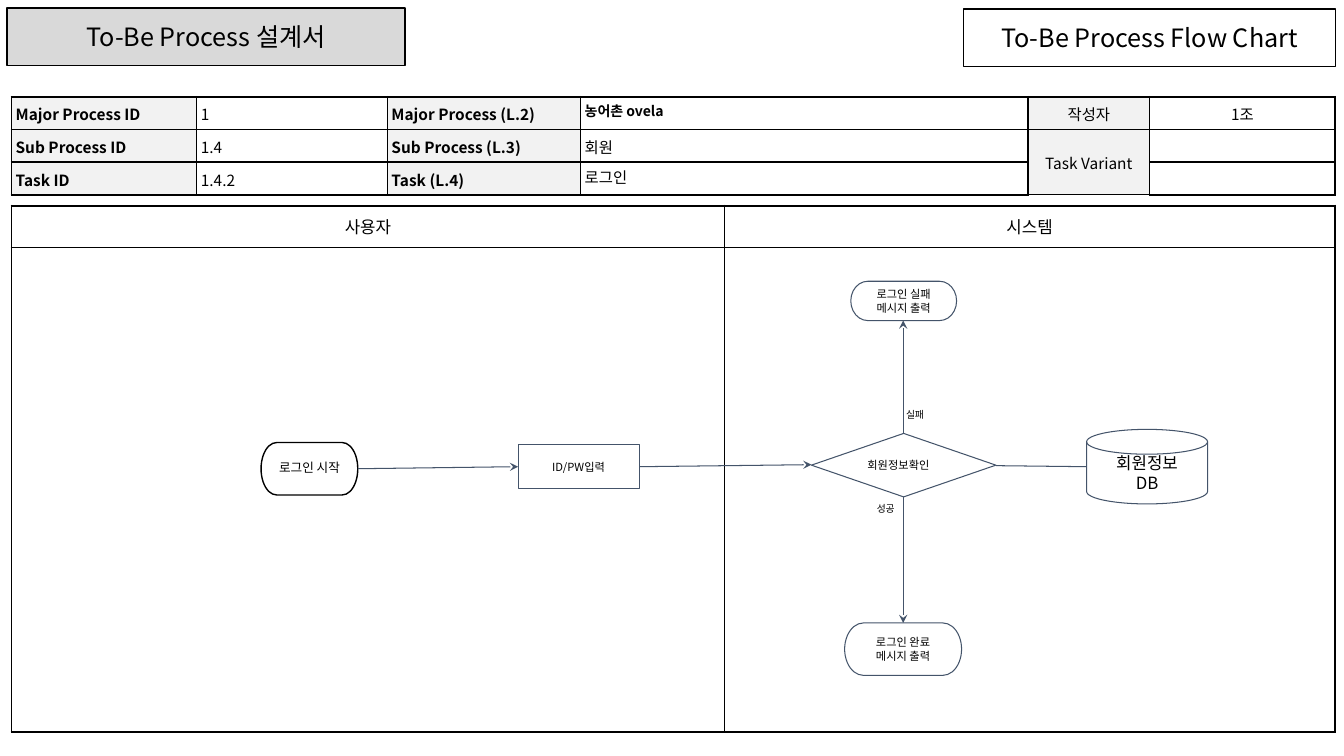
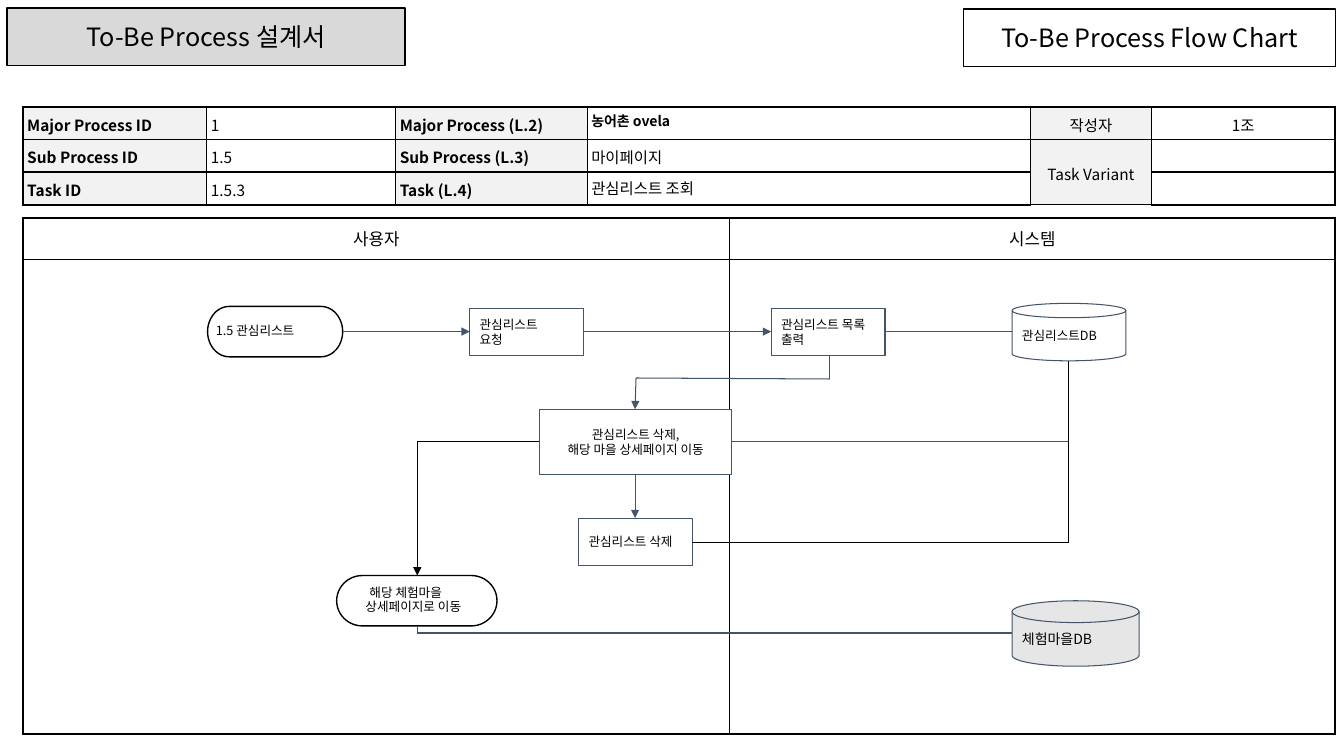
from itertools import pairwise
from lxml.etree import SubElement
from pptx import Presentation
from pptx.dml.color import RGBColor
from pptx.enum.shapes import MSO_CONNECTOR, MSO_SHAPE
from pptx.enum.text import MSO_ANCHOR, MSO_AUTO_SIZE, PP_ALIGN
from pptx.oxml import parse_xml
from pptx.oxml.ns import nsdecls, qn
from pptx.util import Inches, Pt

# Shared grid, colours and type
COLUMNS, ROWS = 133.33, 75
CELL = Inches(0.1)
FONT = "Noto Sans CJK KR"
BLACK, SLATE, WHITE = "000000", "44546A", "FFFFFF"
BANNER, LABEL, GREY = "D9D9D9", "F2F2F2", "E7E6E6"
LEFT, CENTER = PP_ALIGN.LEFT, PP_ALIGN.CENTER
RIGHT_EDGE = 132.45
INFO_SHARES = (14, 14.4, 14.6, 33.8, 9.2, 14)
LANE_SHARES = (7, 6)

PILL = MSO_SHAPE.FLOWCHART_TERMINATOR
STEP = MSO_SHAPE.FLOWCHART_PROCESS
CHOICE = MSO_SHAPE.FLOWCHART_DECISION
DISK = MSO_SHAPE.FLOWCHART_MAGNETIC_DISK
CAN = MSO_SHAPE.CAN
BOX = MSO_SHAPE.RECTANGLE


def paint(fill, colour):
    """Fill an area, a line or a font; None leaves it empty."""
    if colour is None:
        fill.background()
    else:
        fill.solid()
        fill.fore_color.rgb = RGBColor.from_string(colour)


def write(frame, text, size, align=LEFT, bold=False, spacing=1.0, insets=(0.1, 0.05)):
    """Set the text of a frame and format every paragraph."""
    frame.text = text
    frame.word_wrap = True
    frame.margin_left = frame.margin_right = Inches(insets[0])
    frame.margin_top = frame.margin_bottom = Inches(insets[1])
    for para in frame.paragraphs:
        para.alignment = align
        para.line_spacing = spacing
        for span in para.runs:
            span.font.size = Pt(size)
            span.font.bold = bold
            span.font.name = FONT
            paint(span.font.fill, BLACK)
            SubElement(span.font._element, qn("a:ea"), typeface=FONT)
        if not para.runs:
            SubElement(para._p, qn("a:endParaRPr"), sz=str(size * 100))


# Nodes: kind, left, top, width, height, text, size, alignment, outline, fill
# Links: corner points, colour, weight, arrowhead
# Labels: left, top, width, height, text
pages = [
    {
        "left": 1.15, "info_top": 9.6, "lane_top": 20.4, "lane_height": 52.2,
        "ids": ("1", "1.4", "1.4.2"),
        "names": ("농어촌 ovela", "회원", "로그인"),
        "nodes": [
            (DISK, 107.8, 42.6, 12, 7.4, "회원정보\nDB", 12, CENTER, SLATE, WHITE),
            (PILL, 25.9, 43.9, 9.6, 5.2, "로그인 시작", 9, CENTER, BLACK, WHITE),
            (BOX, 51.4, 44.1, 12, 4.4, "ID/PW입력", 8, CENTER, SLATE, WHITE),
            (CHOICE, 80.5, 43, 18.3, 6.3, "회원정보확인", 8, LEFT, SLATE, WHITE),
            (PILL, 83.8, 61.8, 11.6, 5.2, "로그인 완료\n메시지 출력", 8, CENTER, SLATE, WHITE),
            (PILL, 84.4, 27.9, 10.5, 3.9, "로그인 실패\n메시지 출력", 8, CENTER, SLATE, WHITE),
        ],
        "links": [
            ([(35.5, 46.5), (51.4, 46.3)], SLATE, 0.75, "stealth"),
            ([(63.5, 46.3), (80.5, 46.1)], SLATE, 0.75, "stealth"),
            ([(89.6, 49.3), (89.6, 61.8)], SLATE, 0.75, "stealth"),
            ([(89.6, 43), (89.6, 31.8)], SLATE, 0.75, "stealth"),
            ([(98.8, 46.2), (107.8, 46.3)], SLATE, 0.75, None),
        ],
        "labels": [(86, 49.3, 4, 3.2, "성공"), (88.9, 40, 5.3, 3.2, "실패")],
    },
    {
        "left": 2.3, "info_top": 10.6, "lane_top": 21.6, "lane_height": 51.2,
        "ids": ("1", "1.5", "1.5.3"),
        "names": ("농어촌 ovela", "마이페이지", "관심리스트 조회"),
        "nodes": [
            (PILL, 20.6, 30.4, 13.4, 5, "1.5 관심리스트", 9, LEFT, BLACK, WHITE),
            (STEP, 46.6, 30.6, 11.3, 4.7, "관심리스트\n요청", 9, LEFT, SLATE, WHITE),
            (CAN, 100.4, 30.1, 11.3, 5.7, "관심리스트DB", 9, LEFT, SLATE, WHITE),
            (STEP, 53.5, 40.6, 19.1, 6.5, "관심리스트 삭제,\n해당 마을 상세페이지 이동",
             9, CENTER, SLATE, WHITE),
            (PILL, 33.4, 57.1, 15.9, 5, "해당 체험마을 상세페이지로 이동", 9, LEFT, BLACK, WHITE),
            (STEP, 76.5, 30.6, 11.3, 4.7, "관심리스트 목록 출력", 9, LEFT, SLATE, WHITE),
            (DISK, 100.4, 59.6, 12.6, 6.5, "체험마을DB", 10, LEFT, SLATE, GREY),
            (STEP, 57.4, 51.4, 11.3, 4.7, "관심리스트 삭제", 9, LEFT, SLATE, WHITE),
        ],
        "links": [
            ([(34, 32.9), (46.6, 32.9)], SLATE, 0.75, "triangle"),
            ([(57.9, 32.9), (76.5, 32.9)], SLATE, 0.75, "triangle"),
            ([(100.4, 32.9), (87.8, 32.9)], SLATE, 0.75, None),
            ([(63, 47.1), (63, 51.4)], SLATE, 0.75, "triangle"),
            ([(82.3, 35.2), (82.3, 37.6), (63.1, 37.5), (63, 40.6)], SLATE, 0.75, "triangle"),
            ([(72.6, 43.8), (106, 43.8), (106, 35.8)], SLATE, 0.75, None),
            ([(41.4, 62.1), (41.4, 62.8), (100.4, 62.8)], SLATE, 0.75, None),
            ([(53.5, 43.8), (41.4, 43.8), (41.4, 57.1)], BLACK, 0.5, "triangle"),
            ([(68.7, 53.8), (106, 53.8), (106, 35.8)], BLACK, 0.5, None),
        ],
        "labels": [],
    },
]

deck = Presentation()
deck.slide_width = int(COLUMNS * CELL)
deck.slide_height = ROWS * CELL
title_only = deck.slide_layouts[5]

for content in pages:
    page = deck.slides.add_slide(title_only)

    # Title banner and its counterpart on the right
    title = page.shapes.title
    title.left, title.top, title.width, title.height = (
        int(n * CELL) for n in (0.7, 0.8, 39.5, 5.7))
    chart_name = page.shapes.add_shape(
        BOX, *(int(n * CELL) for n in (95.6, 0.9, 36.9, 5.7)))
    chart_name.shadow.inherit = False
    for banner, text, fill in ((title, "To-Be Process 설계서", BANNER),
                               (chart_name, "To-Be Process Flow Chart", None)):
        write(banner.text_frame, text, 18, CENTER)
        banner.text_frame.auto_size = MSO_AUTO_SIZE.NONE
        banner.text_frame.vertical_anchor = MSO_ANCHOR.MIDDLE
        paint(banner.fill, fill)
        paint(banner.line.fill, BLACK)
        banner.line.width = Pt(1)

    # Swimlanes and process details
    ids, names = content["ids"], content["names"]
    info = [
        ("Major Process ID", ids[0], "Major Process (L.2)", names[0], "작성자", "1조"),
        ("Sub Process ID", ids[1], "Sub Process (L.3)", names[1], "Task Variant", ""),
        ("Task ID", ids[2], "Task (L.4)", names[2], "", ""),
    ]
    lanes = [("사용자", "시스템"), ("", "")]
    tables = [
        (lanes, content["lane_top"], LANE_SHARES, (4.1, content["lane_height"] - 4.1), 0.75),
        (info, content["info_top"], INFO_SHARES, (3.13,) * 3, 1),
    ]
    for texts, top, shares, heights, inner in tables:
        width = RIGHT_EDGE - content["left"]
        last_row, last_column = len(heights) - 1, len(shares) - 1
        table = page.shapes.add_table(
            len(heights), len(shares),
            *(int(n * CELL) for n in (content["left"], top, width, sum(heights)))).table
        table.first_row = table.horz_banding = False
        for column, share in zip(table.columns, shares):
            column.width = int(width * share / sum(shares) * CELL)
        for row, height in zip(table.rows, heights):
            row.height = int(height * CELL)
        if texts is info:
            table.cell(1, 4).merge(table.cell(2, 4))

        for r, row_texts in enumerate(texts):
            for c, text in enumerate(row_texts):
                cell = table.cell(r, c)
                centered = texts is lanes or c >= 4
                if texts is lanes:
                    write(cell.text_frame, text, 12, CENTER)
                    margins = (0.1, 0.05)
                else:
                    major_name = (r, c) == (0, 3)
                    write(cell.text_frame, text, 10 if major_name else 11,
                          CENTER if centered else LEFT,
                          bold=c in (0, 2) or major_name,
                          spacing=1.0 if c == 3 and r != 1 else 1.1)
                    margins = (0.04, 0.04)
                cell.margin_left = cell.margin_right = Inches(margins[0])
                cell.margin_top = cell.margin_bottom = Inches(margins[1])
                cell.vertical_anchor = MSO_ANCHOR.MIDDLE if centered else MSO_ANCHOR.TOP
                paint(cell.fill, LABEL if texts is info and c in (0, 2, 4) else None)

                # Heavier rule on the outer edge
                outer = (("L", c == 0), ("R", c == last_column),
                         ("T", r == 0), ("B", r == last_row))
                properties = cell._tc.get_or_add_tcPr()
                for place, (side, is_outer) in enumerate(outer):
                    weight = Pt(1.5 if is_outer else inner)
                    properties.insert(place, parse_xml(
                        f'<a:ln{side} {nsdecls("a")} w="{weight}"><a:solidFill>'
                        f'<a:srgbClr val="{BLACK}"/></a:solidFill></a:ln{side}>'))

    # Flow chart nodes; black pills mark where the flow starts or ends
    for kind, left, top, width, height, text, size, align, outline, fill in content["nodes"]:
        node = page.shapes.add_shape(
            kind, *(int(n * CELL) for n in (left, top, width, height)))
        node.shadow.inherit = False
        paint(node.fill, fill)
        paint(node.line.fill, outline)
        terminal = outline == BLACK
        node.line.width = Pt(1 if terminal else 0.75)
        write(node.text_frame, text, size, align,
              spacing=0.9 if terminal else 1.0,
              insets=(0.02, 0) if terminal else (0.1, 0.1))
        node.text_frame.vertical_anchor = MSO_ANCHOR.MIDDLE
        if text.startswith("해당"):
            indent = node.text_frame.paragraphs[0]._p.get_or_add_pPr()
            indent.set("marL", str(Inches(0.19)))
            indent.set("indent", str(Inches(0.04)))

    # Links, one straight leg between each pair of corners
    for points, colour, weight, head in content["links"]:
        for start, end in pairwise(points):
            leg = page.shapes.add_connector(
                MSO_CONNECTOR.STRAIGHT, *(int(n * CELL) for n in start + end))
            paint(leg.line.fill, colour)
            leg.line.width = Pt(weight)
            if head and end == points[-1]:
                SubElement(leg.line._get_or_add_ln(), qn("a:tailEnd"), type=head)
            SubElement(leg._element.spPr, qn("a:effectLst"))

    # Branch labels
    for left, top, width, height, text in content["labels"]:
        label = page.shapes.add_textbox(
            *(int(n * CELL) for n in (left, top, width, height)))
        write(label.text_frame, text, 7, insets=(0.1, 0.1))
        label.text_frame.word_wrap = False

deck.save("out.pptx")
